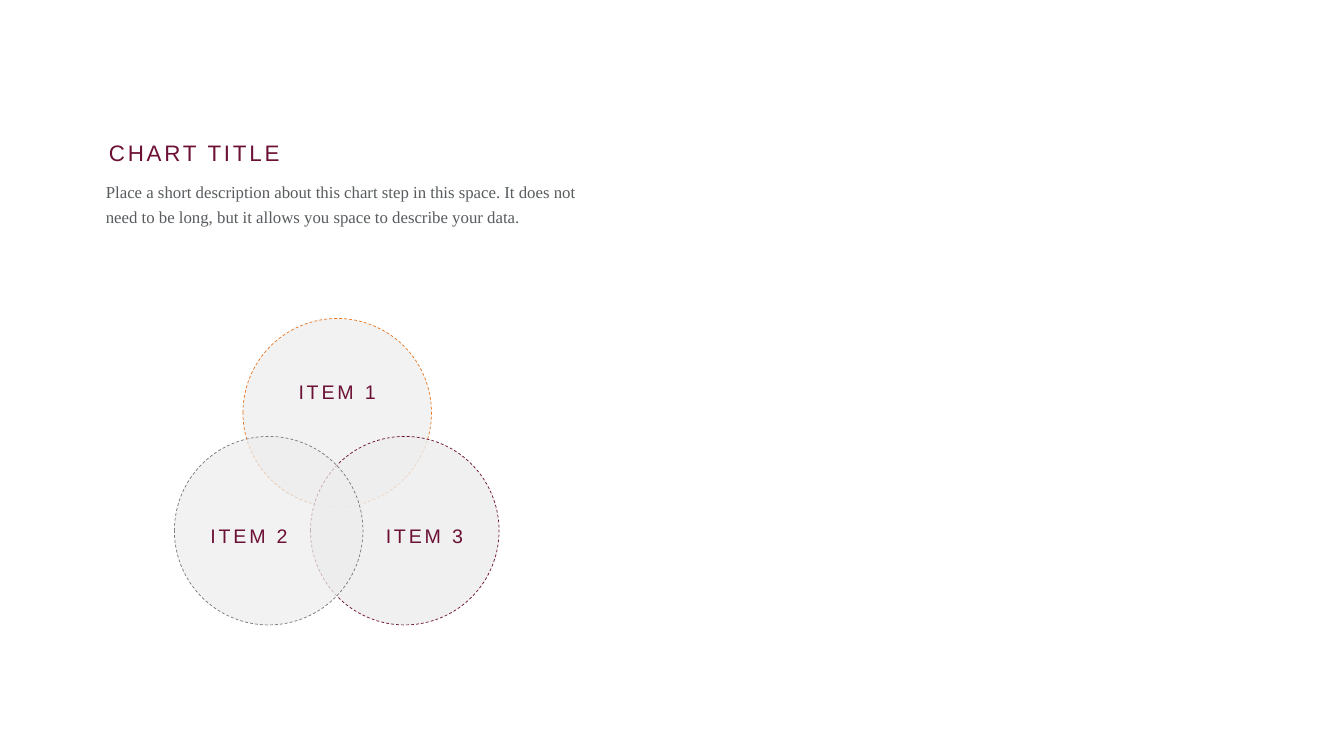
from dataclasses import dataclass

from lxml.etree import SubElement
from pptx import Presentation
from pptx.dml.color import RGBColor
from pptx.enum.dml import MSO_LINE
from pptx.enum.shapes import MSO_SHAPE
from pptx.enum.text import MSO_ANCHOR, PP_ALIGN
from pptx.oxml.ns import qn
from pptx.shapes.base import BaseShape
from pptx.slide import Slide
from pptx.text.text import TextFrame
from pptx.util import Inches, Length, Pt


@dataclass(frozen=True)
class Theme:
    """Colours, fonts and type sizes of the slide."""
    wine: str = "6C1035"
    orange: str = "E87722"
    grey: str = "75787B"
    text: str = "585C5E"
    disc: str = "EDEDED"
    sans: str = "Arial"
    serif: str = "Times New Roman"
    title: int = 16
    label: int = 14
    body: int = 12


@dataclass(frozen=True)
class Box:
    """A place on the slide in inches."""
    left: float
    top: float
    width: float
    height: float

    def emu(self) -> tuple[Length, ...]:
        """Return the four lengths for python-pptx."""
        return tuple(Inches(n) for n in (self.left, self.top, self.width, self.height))


@dataclass(frozen=True)
class Item:
    """One circle of the diagram with its label."""
    name: str
    left: float
    top: float
    line: str
    alpha: int
    label: Box


THEME = Theme()
DISC = 1.87
LOW = 4.33
ITEMS = [
    Item("ITEM 1", 2.41, 3.16, THEME.orange, 70, Box(2.66, 3.48, 1.37, 0.84)),
    Item("ITEM 3", 3.08, LOW, THEME.wine, 80, Box(3.65, 4.81, 1.12, 1.03)),
    Item("ITEM 2", 1.73, LOW, THEME.grey, 70, Box(1.91, 4.81, 1.12, 1.03)),
]
TITLE = Box(1.03, 1.33, 2.01, 0.37)
BODY = Box(1, 1.7, 4.91, 0.86)
NOTE = (
    "Place a short description about this chart step in this space. It does not "
    "need to be long, but it allows you space to describe your data."
)


def place(shape: BaseShape, box: Box) -> None:
    """Move and size a shape."""
    shape.left, shape.top, shape.width, shape.height = box.emu()


def write(frame: TextFrame, text: str, face: str, size: int, color: str,
          inset: float, track: int = 0) -> None:
    """Fill a frame with one styled paragraph."""
    frame.word_wrap = True
    frame.margin_left = frame.margin_right = Inches(inset)
    frame.margin_top = frame.margin_bottom = Inches(inset)
    frame.vertical_anchor = MSO_ANCHOR.TOP
    frame.text = text
    par = frame.paragraphs[0]
    par.alignment = PP_ALIGN.LEFT
    par.line_spacing = 1.0
    par.space_before = Pt(0)
    run = par.runs[0]
    run.font.name = face
    run.font.size = Pt(size)
    run.font.color.rgb = RGBColor.from_string(color)
    if track:
        run.font._element.set("spc", str(track * 100))


def draw(slide: Slide, item: Item) -> None:
    """Draw a translucent circle and its label."""
    disc = slide.shapes.add_shape(
        MSO_SHAPE.OVAL, *Box(item.left, item.top, DISC, DISC).emu())
    disc.shadow.inherit = False
    disc.fill.solid()
    disc.fill.fore_color.rgb = RGBColor.from_string(THEME.disc)
    color = disc._element.spPr.find(qn("a:solidFill")).find(qn("a:srgbClr"))
    SubElement(color, qn("a:alpha"), val=str(item.alpha * 1000))
    disc.line.color.rgb = RGBColor.from_string(item.line)
    disc.line.width = Pt(0.5)
    disc.line.dash_style = MSO_LINE.DASH

    frame = slide.shapes.add_textbox(*item.label.emu()).text_frame
    write(frame, item.name, THEME.sans, THEME.label, THEME.wine, 0, 2)
    frame.vertical_anchor = MSO_ANCHOR.MIDDLE
    frame.paragraphs[0].alignment = PP_ALIGN.CENTER
    frame.paragraphs[0].line_spacing = 0.9


def main() -> None:
    """Build the slide and save it."""
    deck = Presentation()
    deck.slide_width, deck.slide_height = Inches(13.33), Inches(7.5)
    slide = deck.slides.add_slide(deck.slide_layouts[5])

    for item in ITEMS:
        draw(slide, item)

    title = slide.shapes.title
    place(title, TITLE)
    write(title.text_frame, "CHART TITLE", THEME.sans, THEME.title, THEME.wine, 0.05, 2)

    body = slide.shapes.add_textbox(*BODY.emu()).text_frame
    write(body, NOTE, THEME.serif, THEME.body, THEME.text, 0.05)
    body.paragraphs[0].line_spacing = Pt(18)

    deck.save("out.pptx")


if __name__ == "__main__":
    main()
